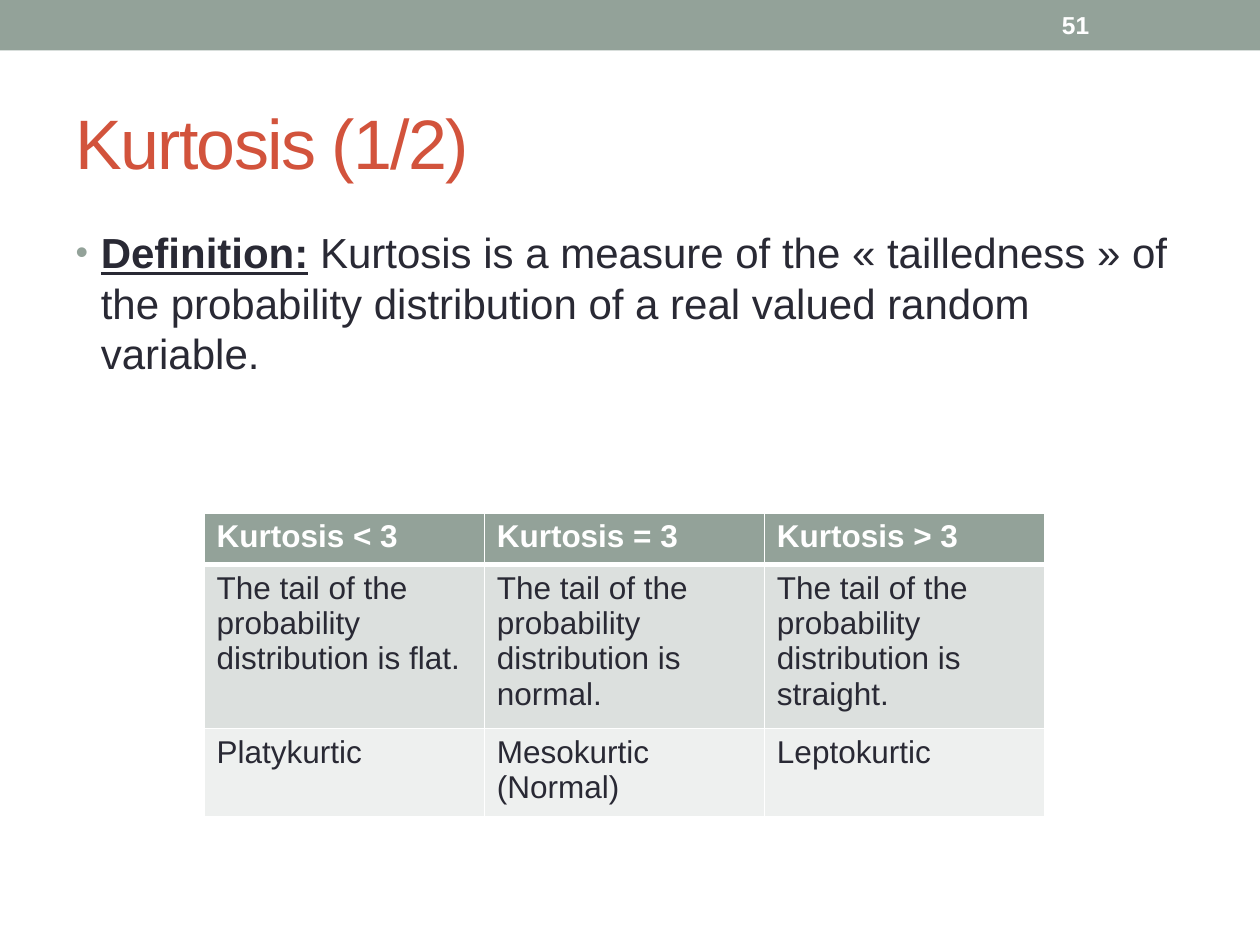
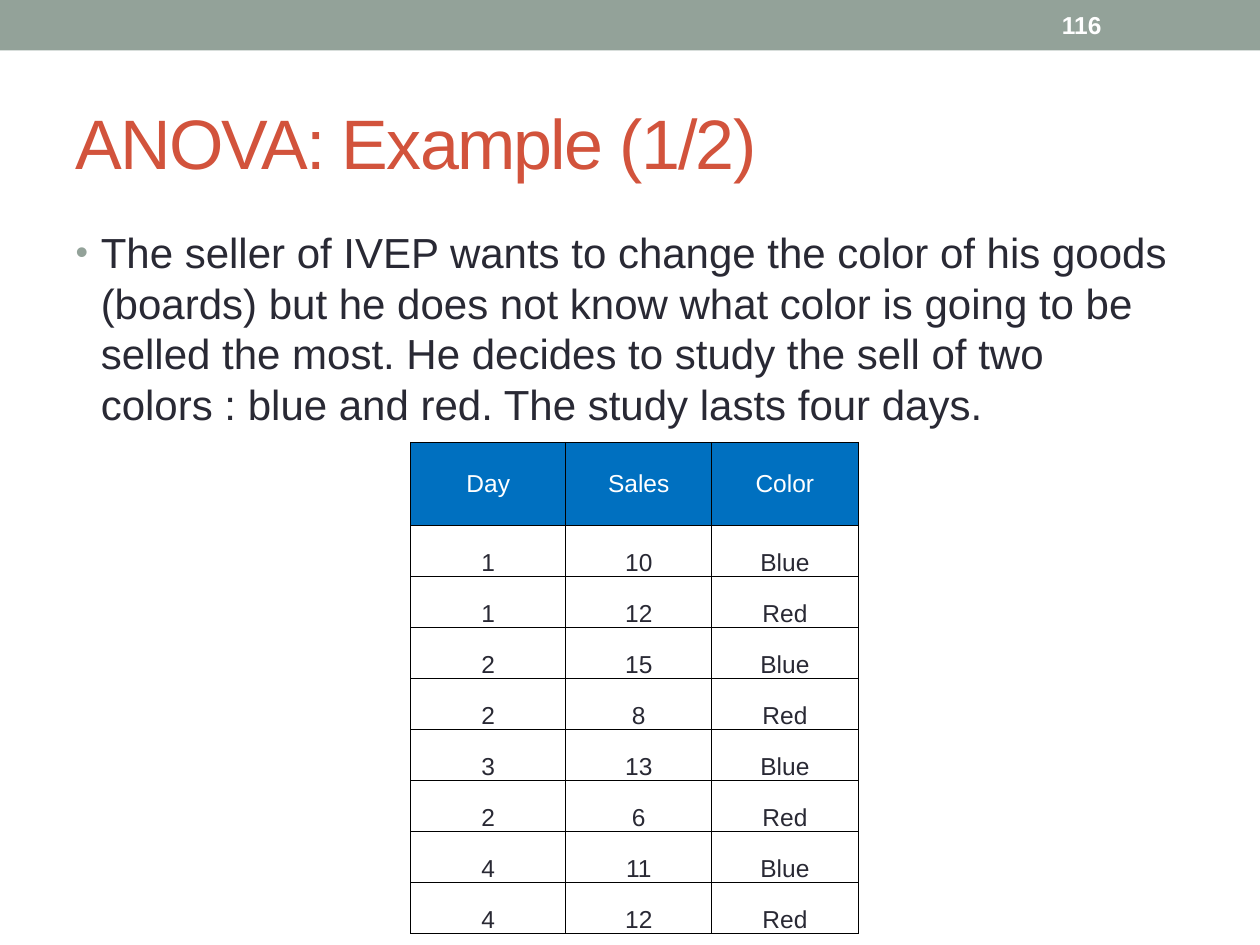
from lxml import etree
from pptx import Presentation
from pptx.dml.color import RGBColor
from pptx.enum import shapes, text
from pptx.oxml import ns
from pptx.util import Inches, Pt

FONT = "Arial"
SAGE = RGBColor(0x93, 0xA2, 0x99)
RUST = RGBColor(0xD2, 0x53, 0x3C)
INK = RGBColor(0x29, 0x29, 0x34)
WHITE = RGBColor(0xFF, 0xFF, 0xFF)
BLACK = RGBColor(0x00, 0x00, 0x00)
BLUE = RGBColor(0x00, 0x70, 0xC0)
ROW_FILLS = [RGBColor(0xDC, 0xE0, 0xDE), RGBColor(0xEE, 0xF0, 0xEF)]

# Each slide: title, page number, body runs as (words, emphasised)
SLIDES = [
    ("Kurtosis (1/2)", "51", [
        ("Definition:", True),
        (" Kurtosis is a measure of the «\u00a0tailledness\u00a0» of the probability "
         "distribution of a real valued random variable.", False)]),
    ("ANOVA: Example (1/2)", "116", [
        ("The seller of IVEP wants to change the color of his goods (boards) but he does "
         "not know what color is going to be selled the most. He decides to study the sell "
         "of two colors : blue and red. The study lasts four days.", False)]),
]
KURTOSIS_ROWS = [
    ["Kurtosis < 3", "Kurtosis = 3", "Kurtosis > 3"],
    [f"The tail of the probability distribution is {form}."
     for form in ("flat", "normal", "straight")],
    ["Platykurtic", "Mesokurtic (Normal)", "Leptokurtic"],
]
SALES_ROWS = [
    ["Day", "Sales", "Color"],
    ["1", "10", "Blue"], ["1", "12", "Red"],
    ["2", "15", "Blue"], ["2", "8", "Red"],
    ["3", "13", "Blue"], ["2", "6", "Red"],
    ["4", "11", "Blue"], ["4", "12", "Red"],
]


def set_font(paragraph, size, color, bold=None):
    font = paragraph.font
    font.name, font.size, font.bold = FONT, Pt(size), bold
    font.color.rgb = color


def add_grid(slide, rows, left, top, widths, heights, size, line_color, line_width,
             header_rule, header_fill, body_fills, bold_header):
    """Add a bordered table; header_rule is the line width under the header."""
    table = slide.shapes.add_table(
        len(rows), len(widths), Inches(left), Inches(top),
        Inches(sum(widths)), Inches(sum(heights))).table
    for column, width in zip(table.columns, widths):
        column.width = Inches(width)
    for r, (row, height) in enumerate(zip(rows, heights)):
        table.rows[r].height = Inches(height)
        for c, words in enumerate(row):
            cell = table.cell(r, c)
            cell.text = words
            set_font(cell.text_frame.paragraphs[0], size, INK if r else WHITE,
                     bold_header and r == 0)
            # Borders come before the fill in the cell properties
            properties = cell._tc.get_or_add_tcPr()
            for side in "LRTB":
                under_header = (r, side) in ((0, "B"), (1, "T"))
                width = header_rule if under_header else line_width
                line = etree.SubElement(properties, ns.qn(f"a:ln{side}"), w=str(Pt(width)))
                fill = etree.SubElement(line, ns.qn("a:solidFill"))
                etree.SubElement(fill, ns.qn("a:srgbClr"), val=str(line_color))
            if r and not body_fills:
                cell.fill.background()
            else:
                cell.fill.solid()
                cell.fill.fore_color.rgb = (
                    body_fills[(r - 1) % len(body_fills)] if r else header_fill)
    return table


presentation = Presentation()
presentation.slide_width, presentation.slide_height = Inches(10), Inches(7.5)

# Shared frame: band, page number, title and bullet
for title_words, page_number, body_runs in SLIDES:
    slide = presentation.slides.add_slide(presentation.slide_layouts[1])

    band = slide.shapes.add_shape(
        shapes.MSO_SHAPE.RECTANGLE, 0, 0, presentation.slide_width, Inches(0.4))
    band.shadow.inherit = False
    band.fill.solid()
    band.fill.fore_color.rgb = SAGE
    band.line.fill.background()

    number = slide.shapes.add_textbox(Inches(8.33), Inches(0.02), Inches(1.17), Inches(0.36))
    number.text_frame.word_wrap = True
    number.text_frame.vertical_anchor = text.MSO_ANCHOR.MIDDLE
    number.text_frame.text = page_number
    set_font(number.text_frame.paragraphs[0], 14, WHITE, True)

    title = slide.shapes.title
    title.left, title.top, title.width, title.height = map(Inches, (0.5, 0.58, 9, 1.08))
    title.text_frame.text = title_words
    title.text_frame.auto_size = text.MSO_AUTO_SIZE.NONE
    title.text_frame.vertical_anchor = text.MSO_ANCHOR.MIDDLE
    paragraph = title.text_frame.paragraphs[0]
    paragraph.alignment = text.PP_ALIGN.LEFT
    paragraph.runs[0]._r.get_or_add_rPr().set("spc", "-100")
    set_font(paragraph, 40, RUST)

    body = slide.placeholders[1]
    body.left, body.top, body.width, body.height = map(Inches, (0.5, 1.75, 9, 5.33))
    body.text_frame.auto_size = text.MSO_AUTO_SIZE.NONE
    paragraph = body.text_frame.paragraphs[0]
    properties = paragraph._p.get_or_add_pPr()
    properties.set("marL", str(Inches(0.2)))
    properties.set("indent", str(Inches(-0.2)))
    bullet_color = etree.SubElement(properties, ns.qn("a:buClr"))
    etree.SubElement(bullet_color, ns.qn("a:srgbClr"), val=str(SAGE))
    etree.SubElement(properties, ns.qn("a:buSzPct"), val="85000")
    etree.SubElement(properties, ns.qn("a:buFont"), typeface=FONT)
    etree.SubElement(properties, ns.qn("a:buChar"), char="•")
    paragraph.space_before = Pt(0)
    paragraph.line_spacing = 1.0
    set_font(paragraph, 24, INK)
    for words, emphasised in body_runs:
        run = paragraph.add_run()
        run.text = words
        run.font.bold = run.font.underline = emphasised

kurtosis_slide, anova_slide = presentation.slides

# Kurtosis: the three cases, rows growing with their text
add_grid(kurtosis_slide, KURTOSIS_ROWS, 1.62, 4.07, [6.67 / 3] * 3, [0.41] * 3, 18,
         WHITE, 1, 3, SAGE, ROW_FILLS, True)

# ANOVA: sales by day and color
sales_table = add_grid(anova_slide, SALES_ROWS, 3.26, 3.51, [1.23, 1.16, 1.16],
                       [0.66] + [3.24 / 8] * 8, 14, BLACK, 0.5, 0.5, BLUE, [], False)
for index, cell in enumerate(sales_table.iter_cells()):
    cell.margin_left = cell.margin_right = cell.margin_top = cell.margin_bottom = 0
    in_header = index < len(sales_table.columns)
    cell.vertical_anchor = text.MSO_ANCHOR.MIDDLE if in_header else text.MSO_ANCHOR.BOTTOM
    cell.text_frame.paragraphs[0].alignment = text.PP_ALIGN.CENTER

presentation.save("out.pptx")
